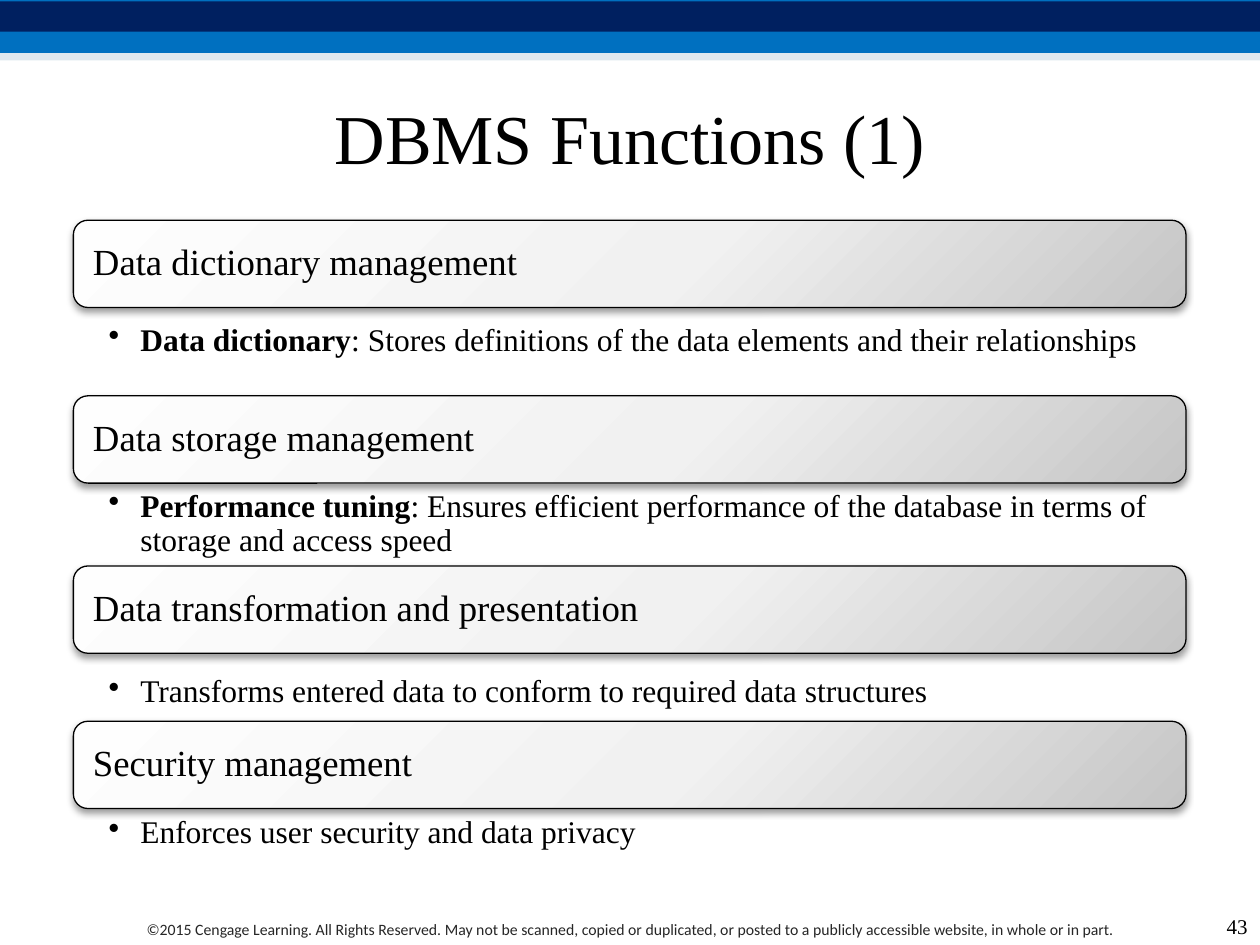
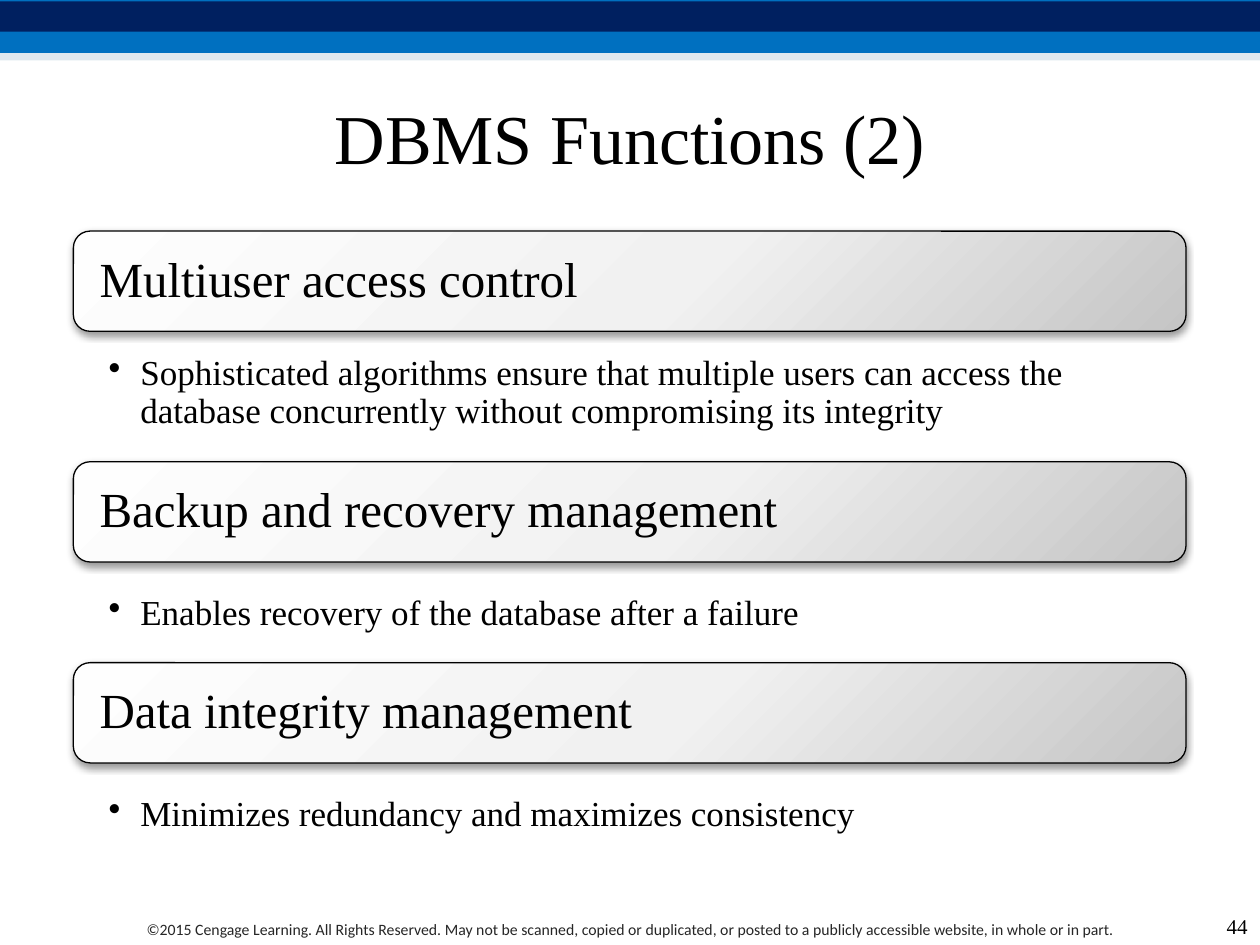
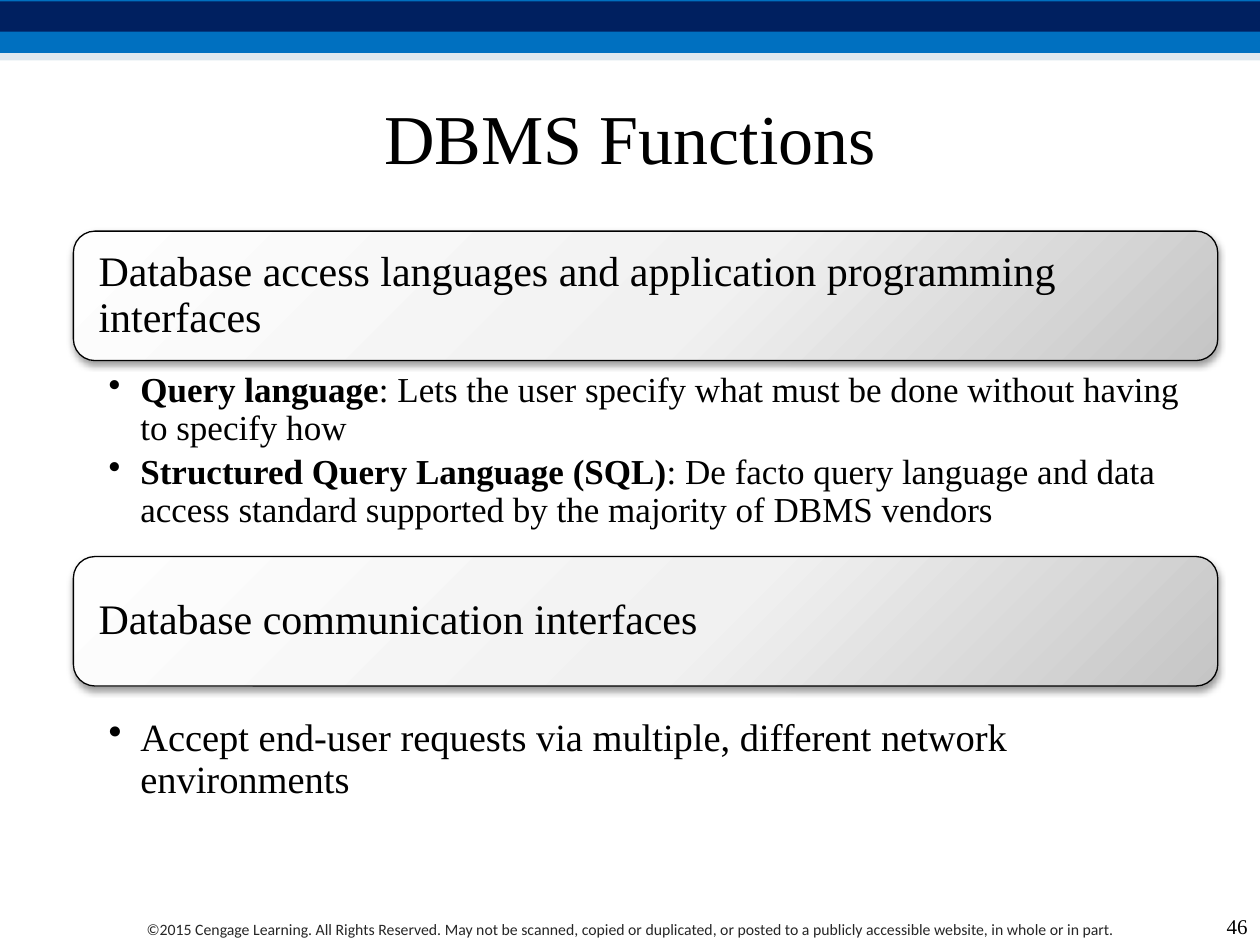
"""Build three slides on the functions of a DBMS."""
import pptx
import pptx.dml.color
import pptx.enum.shapes
import pptx.enum.text
import pptx.oxml
import pptx.oxml.ns
import pptx.util

Cm, Pt = pptx.util.Cm, pptx.util.Pt
ALIGN = pptx.enum.text.PP_ALIGN
ANCHOR = pptx.enum.text.MSO_ANCHOR
SHAPE = pptx.enum.shapes.MSO_SHAPE

SERIF = "Times New Roman"
LEFT = 1.48
WIDE = 22.43
BLACK = "000000"
BANDS = [
    (0, 1.07, "0070C0", 100),
    (0.03, 0.61, "002060", 100),
    (1.07, 0.15, "BED3E1", 50),
]
STOPS = [(0, "FEFEFE"), (55, "F1F1F1"), (100, "C5C5C5")]
NOTICE = (
    "©2015 Cengage Learning. All Rights Reserved. May not be scanned, copied or "
    "duplicated, or posted to a publicly accessible website, in whole or in part."
)

DECK = [
    {
        "title": "DBMS Functions (1)", "page": "43",
        "head": {"wide": WIDE, "tall": 1.76, "size": 21, "pad": 0.31},
        "list": {"wide": WIDE, "right": 0.41, "top": 0.08},
        "topics": [
            (4.44, "Data dictionary management", 6.45, 1.6, 18,
             [("Data dictionary", ": Stores definitions of the data elements and their relationships")]),
            (7.98, "Data storage management", 9.8, 1.6, 18,
             [("Performance tuning", ": Ensures efficient performance of the database in terms of "
               "storage and access speed")]),
            (11.41, "Data transformation and presentation", 13.54, 1.19, 18,
             [("", "Transforms entered data to conform to required data structures")]),
            (14.54, "Security management", 16.38, 1.19, 18,
             [("", "Enforces user security and data privacy")]),
        ],
    },
    {
        "title": "DBMS Functions (2)", "page": "44",
        "head": {"wide": WIDE, "tall": 2.02, "size": 28, "pad": 0.43},
        "list": {"wide": 22.02, "right": 0.61, "top": 0.1},
        "topics": [
            (4.66, "Multiuser access control", 7.06, 2.03, 20,
             [("", "Sophisticated algorithms ensure that multiple users can access the "
               "database concurrently without compromising its integrity")]),
            (9.31, "Backup and recovery management", 11.91, 1.42, 20,
             [("", "Enables recovery of the database after a failure")]),
            (13.36, "Data integrity management", 15.95, 1.02, 20,
             [("", "Minimizes redundancy and maximizes consistency")]),
        ],
    },
    {
        "title": "DBMS Functions", "page": "46",
        "head": {"wide": 23.07, "tall": 2.61, "size": 24, "pad": 0.38},
        "list": {"wide": 23.07, "right": 0.43, "top": 0.08},
        "topics": [
            (4.66, "Database access languages and application programming interfaces",
             7.42, 4.01, 20,
             [("Query language", ": Lets the user specify what must be done without having "
               "to specify how"),
              ("Structured Query Language (SQL)", ": De facto query language and data access "
               "standard supported by the majority of DBMS vendors")]),
            (11.22, "Database communication interfaces", 14.4, 2.31, 22,
             [("", "Accept end-user requests via multiple, different network environments")]),
        ],
    },
]


def hue(code):
    """Turn a hex string into a colour."""
    return pptx.dml.color.RGBColor.from_string(code)


def style(item, **values):
    """Set each format value on an item."""
    for name, value in values.items():
        setattr(item, name, value)


def node(text):
    """Make a drawing element from its markup."""
    head, rest = text.split(">", 1)
    if head.endswith("/"):
        return pptx.oxml.parse_xml(f"{head[:-1]} {pptx.oxml.ns.nsdecls('a')}/>{rest}")
    return pptx.oxml.parse_xml(f"{head} {pptx.oxml.ns.nsdecls('a')}>{rest}")


def box(spot):
    """Convert left, top, width and height to lengths."""
    return [Cm(side) for side in spot]


def write(para, text, size, font=SERIF, code=BLACK, bold=False):
    """Add one run of text to a paragraph."""
    run = para.add_run()
    run.text = text
    style(run.font, name=font, size=Pt(size), bold=bold)
    run.font.color.rgb = hue(code)


def label(slide, spot, text, size, align, anchor, **look):
    """Add a one-line text box."""
    shape = slide.shapes.add_textbox(*box(spot))
    style(shape.text_frame, word_wrap=True, vertical_anchor=anchor)
    para = shape.text_frame.paragraphs[0]
    para.alignment = align
    write(para, text, size, **look)
    return shape


def band(slide, top, tall, code, alpha):
    """Add a strip across the slide."""
    shape = slide.shapes.add_shape(SHAPE.RECTANGLE, *box((0, top, 25.4, tall)))
    shape.shadow.inherit = False
    shape.fill.solid()
    shape.fill.fore_color.rgb = hue(code)
    shape.line.fill.background()
    if alpha < 100:
        tint = shape.element.xpath("./p:spPr/a:solidFill/a:srgbClr")[0]
        tint.append(node(f'<a:alpha val="{alpha * 1000}"/>'))
    return shape


def frame(slide):
    """Put the bands and the notice on the layout."""
    parts = [band(slide, *row) for row in BANDS]
    parts.append(label(slide, (LEFT, 18.42, WIDE, 0.64), NOTICE, 9, ALIGN.CENTER,
                       ANCHOR.TOP, font="Calibri", code="262626"))
    tree = slide.slide_layout.shapes.element
    for place, part in enumerate(parts, 2):
        tree.insert(place, part.element)


def title(slide, text):
    """Fill and place the title."""
    shape = slide.shapes.title
    left, top, width, height = box((1.27, 1.27, 22.86, 2.97))
    style(shape, left=left, top=top, width=width, height=height)
    style(shape.text_frame, word_wrap=True, vertical_anchor=ANCHOR.MIDDLE)
    para = shape.text_frame.paragraphs[0]
    para.alignment = ALIGN.CENTER
    write(para, text, 40)


def shade(shape):
    """Give a shape the grey gradient and soft shadow."""
    stops = "".join(f'<a:gs pos="{at * 1000}"><a:srgbClr val="{code}"/></a:gs>'
                    for at, code in STOPS)
    shape.fill.background()
    blank = shape.element.xpath("./p:spPr/a:noFill")[0]
    blank.getparent().replace(blank, node(
        f'<a:gradFill><a:gsLst>{stops}</a:gsLst><a:path path="circle">'
        '<a:fillToRect l="-40000" t="-90000" r="140000" b="190000"/></a:path></a:gradFill>'))
    shape.shadow.inherit = False
    shape.element.xpath("./p:spPr/a:effectLst")[0].append(node(
        f'<a:outerShdw blurRad="{Pt(4.1)}" dist="{Pt(2)}" dir="5400000" rotWithShape="0">'
        f'<a:srgbClr val="{BLACK}"><a:alpha val="40000"/></a:srgbClr></a:outerShdw>'))


def header(slide, top, text, wide, tall, size, pad):
    """Add the rounded bar that names a function."""
    shape = slide.shapes.add_shape(SHAPE.ROUNDED_RECTANGLE, *box((LEFT, top, wide, tall)))
    shade(shape)
    shape.line.color.rgb = hue(BLACK)
    shape.line.width = Pt(0.75)
    gap = Cm(pad)
    style(shape.text_frame, word_wrap=True, vertical_anchor=ANCHOR.MIDDLE, margin_left=gap,
          margin_right=gap, margin_top=gap, margin_bottom=gap)
    para = shape.text_frame.paragraphs[0]
    style(para, alignment=ALIGN.LEFT, line_spacing=0.9)
    write(para, text, size)


def points(slide, spot, size, items, right, top):
    """Add a bulleted list below a header."""
    text = slide.shapes.add_textbox(*box(spot)).text_frame
    style(text, word_wrap=True, margin_left=Cm(0.71), margin_right=Cm(right),
          margin_top=Cm(top), margin_bottom=Cm(top))
    for count, (term, rest) in enumerate(items):
        para = text.add_paragraph() if count else text.paragraphs[0]
        props = para._p.get_or_add_pPr()
        props.set("marL", str(Cm(0.64)))
        props.set("indent", str(-Cm(0.64)))
        props.append(node('<a:buChar char="•"/>'))
        style(para, line_spacing=0.9, space_after=Pt(size * 0.2))
        if term:
            write(para, term, size, bold=True)
        write(para, rest, size)


def main():
    """Build and save the deck."""
    deck = pptx.Presentation()
    style(deck, slide_width=Cm(25.4), slide_height=Cm(19.05))
    for count, page in enumerate(DECK):
        slide = deck.slides.add_slide(deck.slide_layouts[5])
        if not count:
            frame(slide)
        title(slide, page["title"])
        wide = page["list"]["wide"]
        room = {key: page["list"][key] for key in ("right", "top")}
        for top, name, low, tall, size, items in page["topics"]:
            header(slide, top, name, **page["head"])
            points(slide, (LEFT, low, wide, tall), size, items, **room)
        label(slide, (24.13, 18.21, 1.27, 0.84), page["page"], 12, ALIGN.RIGHT, ANCHOR.BOTTOM)
    deck.save("out.pptx")


if __name__ == "__main__":
    main()
